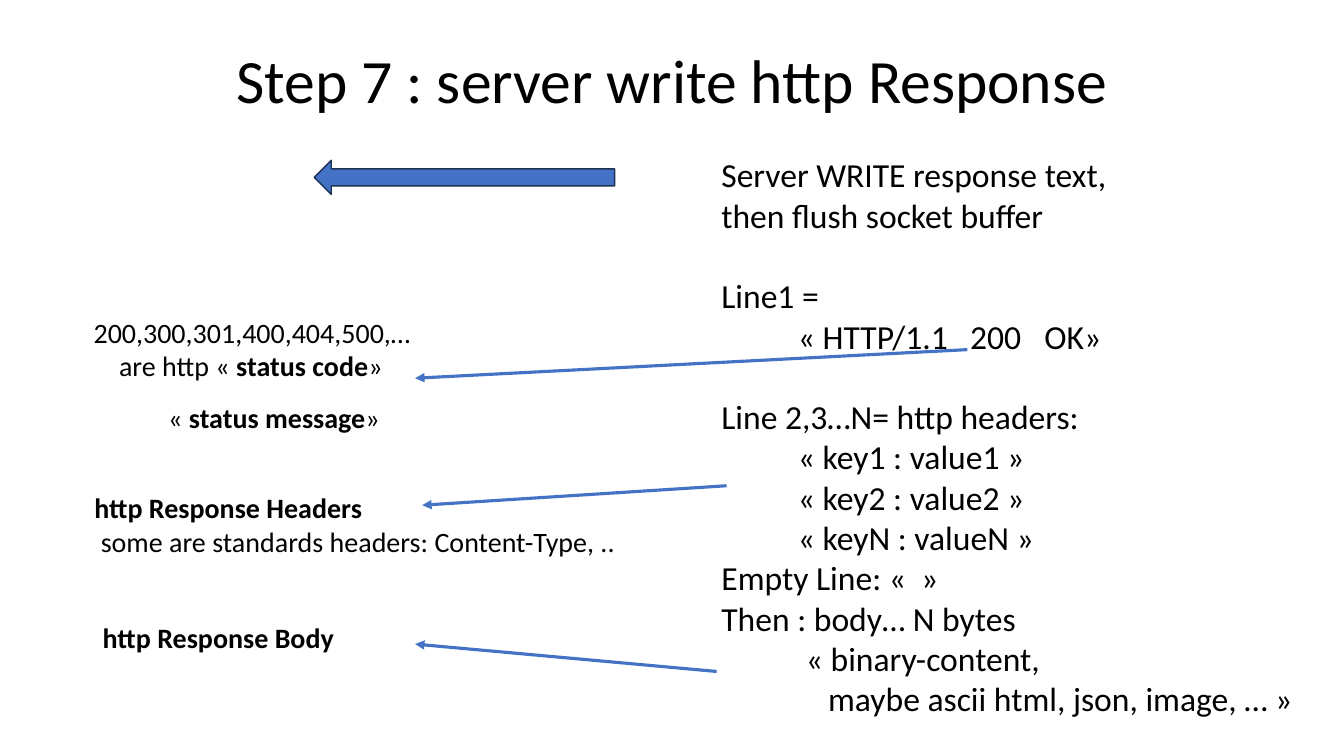
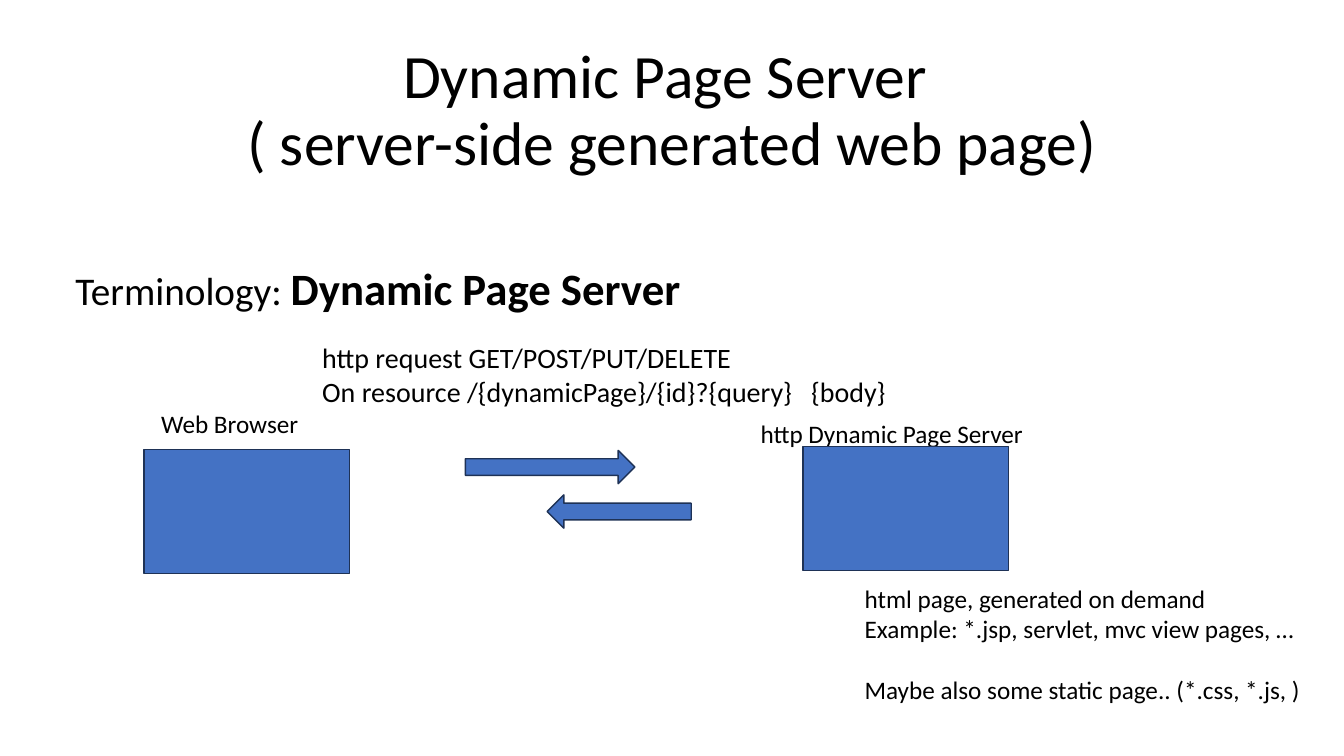
from dataclasses import dataclass

from lxml import etree
from pptx import Presentation
from pptx.dml.color import RGBColor
from pptx.enum.shapes import MSO_CONNECTOR, MSO_SHAPE
from pptx.enum.text import MSO_ANCHOR, PP_ALIGN
from pptx.oxml.ns import qn
from pptx.util import Cm, Pt

RIGHT_ARROW = MSO_SHAPE.RIGHT_ARROW
LEFT_ARROW = MSO_SHAPE.LEFT_ARROW
RECTANGLE = MSO_SHAPE.RECTANGLE
STRAIGHT = MSO_CONNECTOR.STRAIGHT
TOP, MIDDLE = MSO_ANCHOR.TOP, MSO_ANCHOR.MIDDLE
LEFT, CENTER = PP_ALIGN.LEFT, PP_ALIGN.CENTER


@dataclass(frozen=True)
class Theme:
    font: str = "Calibri"
    text: RGBColor = RGBColor(0x00, 0x00, 0x00)
    accent: RGBColor = RGBColor(0x44, 0x72, 0xC4)
    outline: RGBColor = RGBColor(0x1E, 0x32, 0x56)
    title: int = 44
    term: int = 32
    lead: int = 28
    body: int = 24
    note: int = 20
    label: int = 18
    line_height: float = 1.2
    outline_width: float = 1
    pointer_width: float = 2.25


THEME = Theme()
BOLD = {"bold": True}


@dataclass(frozen=True)
class Line:
    """A paragraph: runs are strings or (string, font values) pairs."""
    runs: tuple
    indent: float = 0
    tabs: tuple = ()
    gap: bool = False


def line(*runs, **layout):
    return Line(runs, **layout)


def set_values(target, values):
    for name, value in values.items():
        setattr(target, name, value)


def add_tabs(properties, positions):
    tab_list = etree.SubElement(properties, qn("a:tabLst"))
    for position in positions:
        etree.SubElement(tab_list, qn("a:tab"), pos=str(Cm(position)), algn="l")


def add_text(slide, box, size, *lines, align=LEFT, anchor=TOP, spacing=1.0):
    shape = slide.shapes.add_textbox(*map(Cm, box))
    frame = shape.text_frame
    set_values(frame, {"word_wrap": True, "vertical_anchor": anchor})
    for index, content in enumerate(lines):
        paragraph = frame.paragraphs[0] if index == 0 else frame.add_paragraph()
        properties = paragraph._p.get_or_add_pPr()
        if content.indent:
            properties.set("marL", str(Cm(content.indent)))
        if content.tabs:
            add_tabs(properties, content.tabs)
        set_values(paragraph, {"alignment": align, "line_spacing": spacing})
        if content.gap:
            paragraph.space_before = Pt(size * THEME.line_height)
        for item in content.runs:
            text, values = (item, {}) if isinstance(item, str) else item
            run = paragraph.add_run()
            run.text = text
            set_values(run.font, {"name": THEME.font, "size": Pt(size), **values})
            run.font.color.rgb = THEME.text


def add_title(slide, top, height, *lines):
    add_text(slide, (2.34, top, 29.21, height), THEME.title,
             *map(line, lines), align=CENTER, anchor=MIDDLE, spacing=0.9)


def add_block(slide, kind, box):
    shape = slide.shapes.add_shape(kind, *map(Cm, box))
    shape.shadow.inherit = False
    shape.fill.solid()
    shape.fill.fore_color.rgb = THEME.accent
    shape.line.color.rgb = THEME.outline
    shape.line.width = Pt(THEME.outline_width)


def add_pointer(slide, start, end):
    connector = slide.shapes.add_connector(STRAIGHT, *map(Cm, start + end))
    connector.line.color.rgb = THEME.accent
    connector.line.width = Pt(THEME.pointer_width)
    outline = connector.line._get_or_add_ln()
    etree.SubElement(outline, qn("a:tailEnd"), type="triangle")
    etree.SubElement(connector._element.spPr, qn("a:effectLst"))


def build_response(slide):
    add_title(slide, 1.02, 2.18, "Step 7 : server write http Response")
    add_block(slide, LEFT_ARROW, (7.92, 4.04, 7.57, 0.86))

    # Response text, line by line
    quote = 1.93
    add_text(
        slide, (17.93, 3.76, 15.3, 14.63), THEME.body,
        line("Server WRITE response text,"),
        line("then flush socket buffer"),
        line("Line1 =", gap=True),
        line("\t« HTTP/1.1\t200\tOK»", tabs=(quote, 6.27, 8.14)),
        line("Line 2,3…N= http headers:", gap=True),
        *(line(f"« key{key} : value{key} »", indent=quote) for key in "12N"),
        line("Empty Line: «  »"),
        line("Then : body… N bytes"),
        line("« binary-content,", indent=2.13),
        line("maybe ascii html, json, image, … »", indent=2.69),
    )

    # Explanations and their pointers
    for start, end in (
        ((24.38, 8.81), (10.46, 9.53)),
        ((18.31, 12.24), (10.64, 12.73)),
        ((18.06, 16.92), (10.46, 16.23)),
    ):
        add_pointer(slide, start, end)
    add_text(slide, (2.11, 7.82, 9, 1.96), THEME.note,
             line("200,300,301,400,404,500,…"),
             line("are http « ", ("status code", BOLD), "»", indent=0.64))
    add_text(slide, (3.99, 9.96, 6, 1.12), THEME.note,
             line("« ", ("status message", BOLD), "»"))
    add_text(slide, (2.13, 12.24, 14.1, 1.96), THEME.note,
             line(("http Response Headers", BOLD)),
             line("some are standards headers: Content-Type, ..", indent=0.16))
    add_text(slide, (2.34, 15.52, 6.6, 1.12), THEME.note,
             line(("http Response Body", BOLD)))


def build_dynamic_server(slide):
    add_title(slide, 0.99, 3.68,
              "Dynamic Page Server ", "( server-side generated web page)")
    add_text(slide, (1.65, 6.45, 16.1, 1.63), THEME.lead,
             line("Terminology: ",
                  ("Dynamic Page Server", {**BOLD, "size": Pt(THEME.term)})))

    # Request and captions
    add_text(slide, (7.87, 8.46, 15, 1.96), THEME.note,
             line("http request GET/POST/PUT/DELETE"),
             line("On resource /{dynamicPage}/{id}?{query}\t{body}", tabs=(12.32,)))
    add_text(slide, (3.81, 10.16, 4.2, 1.02), THEME.label, line("Web Browser"))
    add_text(slide, (18.92, 10.41, 7.4, 1.02), THEME.label,
             line("http Dynamic Page Server"))

    # Browser, server and the exchange between them
    for kind, box in (
        (RECTANGLE, (3.63, 11.33, 5.18, 3.12)),
        (RECTANGLE, (20.24, 11.25, 5.18, 3.12)),
        (RIGHT_ARROW, (11.73, 11.35, 4.27, 0.84)),
        (LEFT_ARROW, (13.79, 12.47, 3.63, 0.84)),
    ):
        add_block(slide, kind, box)

    # What the server returns
    add_text(slide, (21.54, 14.58, 11.8, 3.33), THEME.label,
             line("html page, generated on demand"),
             line("Example: *.jsp, servlet, mvc view pages, …"),
             line("Maybe also some static page.. (*.css, *.js, )", gap=True))


def main():
    presentation = Presentation()
    set_values(presentation, {"slide_width": Cm(33.87), "slide_height": Cm(19.05)})
    blank = presentation.slide_layouts[6]
    for build in (build_response, build_dynamic_server):
        build(presentation.slides.add_slide(blank))
    presentation.save("out.pptx")


if __name__ == "__main__":
    main()
